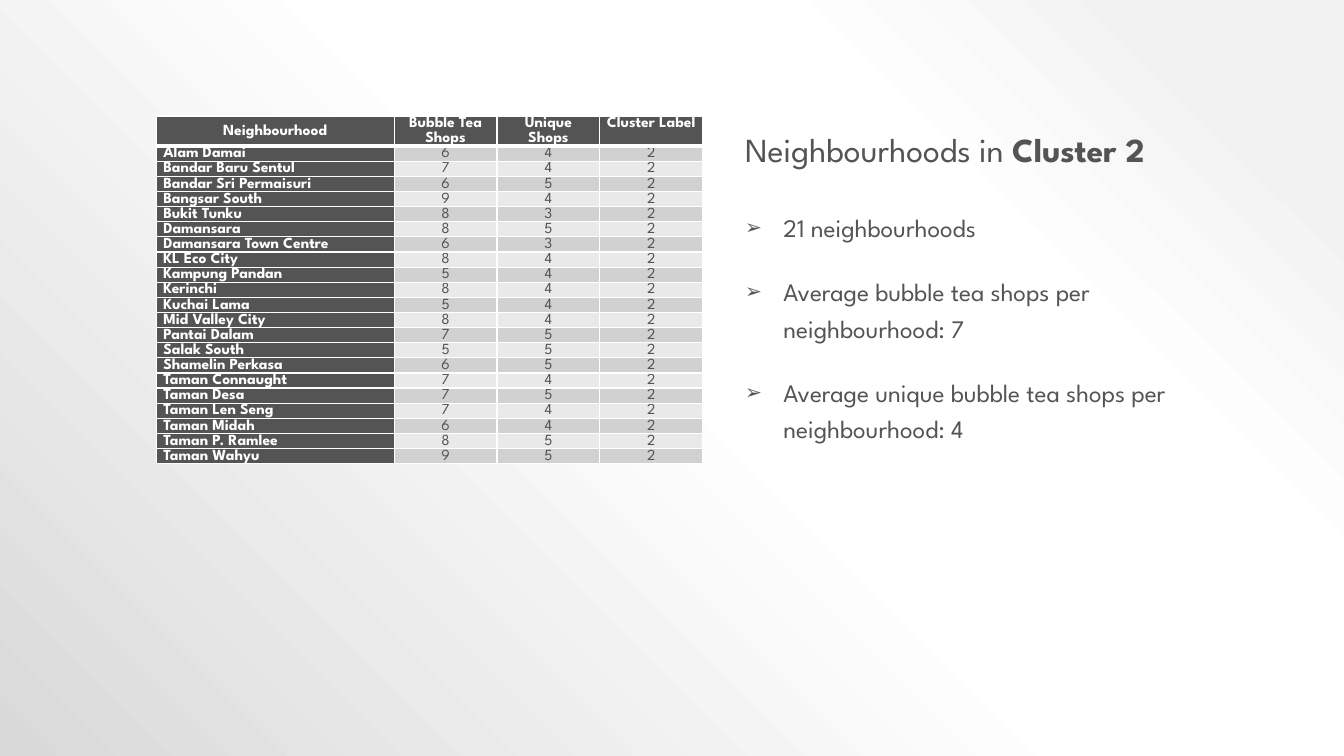
"""Build the slide that lists the neighbourhoods in cluster 2."""
from pptx import Presentation
from pptx.dml.color import RGBColor
from pptx.enum.text import MSO_ANCHOR as Anchor, PP_ALIGN as Align
from pptx.oxml import parse_xml
from pptx.oxml.ns import nsdecls
from pptx.util import Inches, Pt

DARK = RGBColor(0x54, 0x54, 0x54)
WHITE = RGBColor(0xFF, 0xFF, 0xFF)
BANDS = [RGBColor(0xD1, 0xD1, 0xD1), RGBColor(0xE9, 0xE9, 0xE9)]
STOPS = [(10, "F2F2F2"), (28, "FFFFFF"), (48, "FFFFFF"), (100, "D9D9D9")]
FONT = "League Spartan"
HEADS = ["Neighbourhood", "Bubble Tea Shops", "Unique Shops", "Cluster Label"]
AREAS = [
    ("Alam Damai", 6, 4), ("Bandar Baru Sentul", 7, 4),
    ("Bandar Sri Permaisuri", 6, 5), ("Bangsar South", 9, 4),
    ("Bukit Tunku", 8, 3), ("Damansara", 8, 5),
    ("Damansara Town Centre", 6, 3), ("KL Eco City", 8, 4),
    ("Kampung Pandan", 5, 4), ("Kerinchi", 8, 4),
    ("Kuchai Lama", 5, 4), ("Mid Valley City", 8, 4),
    ("Pantai Dalam", 7, 5), ("Salak South", 5, 5),
    ("Shamelin Perkasa", 6, 5), ("Taman Connaught", 7, 4),
    ("Taman Desa", 7, 5), ("Taman Len Seng", 7, 4),
    ("Taman Midah", 6, 4), ("Taman P. Ramlee", 8, 5),
    ("Taman Wahyu", 9, 5),
]
FACTS = [
    "21 neighbourhoods",
    "Average bubble tea shops per neighbourhood: 7",
    "Average unique bubble tea shops per neighbourhood: 4",
]


def add_run(para, text, size, color, bold=False):
    run = para.add_run()
    run.text = text
    run.font.name = FONT
    run.font.size = Pt(size)
    run.font.bold = bold
    run.font.color.rgb = color


def add_edges(cell, widths):
    props = cell._tc.get_or_add_tcPr()
    for spot, (side, width) in enumerate(zip("LRTB", widths)):
        props.insert(spot, parse_xml(
            f'<a:ln{side} {nsdecls("a")} w="{Pt(width)}"><a:solidFill>'
            f'<a:srgbClr val="{WHITE}"/></a:solidFill></a:ln{side}>'))


prs = Presentation()
prs.slide_width = Inches(13.33)
prs.slide_height = Inches(7.5)
slide = prs.slides.add_slide(prs.slide_layouts[1])
title = slide.shapes.title
title.element.getparent().remove(title.element)

stops = "".join(
    f'<a:gs pos="{pos * 1000}"><a:srgbClr val="{color}"/></a:gs>'
    for pos, color in STOPS)
slide.element.cSld.insert(0, parse_xml(
    f'<p:bg {nsdecls("p", "a")}><p:bgPr><a:gradFill rotWithShape="1">'
    f'<a:gsLst>{stops}</a:gsLst><a:path path="circle">'
    '<a:fillToRect l="100000" b="100000"/></a:path></a:gradFill>'
    '<a:effectLst/></p:bgPr></p:bg>'))

rows = [HEADS] + [(*area, 2) for area in AREAS]
table = slide.shapes.add_table(
    len(rows), len(HEADS), Inches(1.55), Inches(1.15),
    Inches(5.42), Inches(3.45)).table
table.horz_banding = False
for col, width in zip(table.columns, [2.36, 1.02, 1.02, 1.02]):
    col.width = Inches(width)
for r, row in enumerate(rows):
    table.rows[r].height = Inches(0.15 if r else 0.3)
    for c, value in enumerate(row):
        cell = table.cell(r, c)
        label = r == 0 or c == 0
        cell.margin_left = cell.margin_right = Inches(0.07)
        cell.margin_top = cell.margin_bottom = 0
        cell.vertical_anchor = Anchor.TOP if r or c else Anchor.MIDDLE
        cell.fill.solid()
        cell.fill.fore_color.rgb = DARK if label else BANDS[(r - 1) % 2]
        add_edges(cell, [1, 1, 3 if r == 1 else 1, 1 if r else 3])
        para = cell.text_frame.paragraphs[0]
        para.alignment = Align.LEFT if r and c == 0 else Align.CENTER
        para.line_spacing = 1.07
        add_run(para, str(value), 11, WHITE if label else DARK, label)

body = slide.placeholders[1]
body.left, body.top = Inches(7.29), Inches(1.15)
body.width, body.height = Inches(5.2), Inches(2.99)
frame = body.text_frame
frame.word_wrap = True
frame.vertical_anchor = Anchor.TOP
head = frame.paragraphs[0]
head.line_spacing = 1.2
head.space_before = Pt(0)
props = head._p.get_or_add_pPr()
props.set("marL", "0")
props.set("indent", "0")
props.append(parse_xml(f'<a:buNone {nsdecls("a")}/>'))
add_run(head, "Neighbourhoods in ", 24, DARK)
add_run(head, "Cluster 2", 24, DARK, True)
for n, fact in enumerate(FACTS):
    para = frame.add_paragraph()
    para.line_spacing = 1.2
    para.space_before = Pt(20 if n else 26.5)
    props = para._p.get_or_add_pPr()
    props.set("marL", str(Inches(0.38)))
    props.set("indent", str(-Inches(0.38)))
    for tag in (f'buClr {nsdecls("a")}><a:srgbClr val="{DARK}"/></a:buClr',
                f'buSzPct {nsdecls("a")} val="80000"/',
                f'buChar {nsdecls("a")} char="➢"/'):
        props.append(parse_xml(f"<a:{tag}>"))
    add_run(para, fact, 18, DARK)

prs.save("out.pptx")
